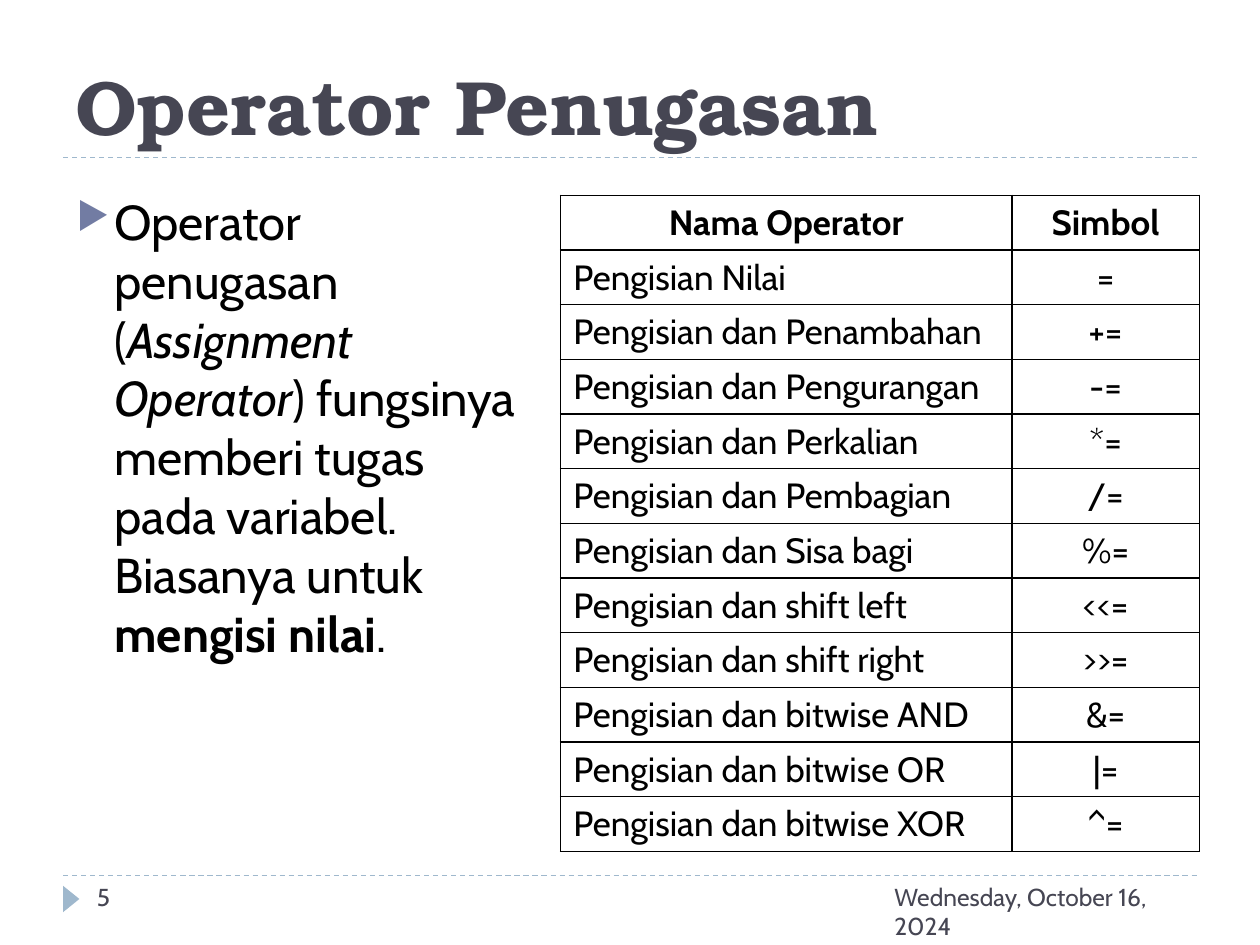
import pptx
import pptx.util
import pptx.dml.color
import pptx.enum.dml
import pptx.enum.shapes
import pptx.enum.text
import pptx.oxml
import pptx.oxml.ns
from dataclasses import dataclass


@dataclass(frozen=True)
class Theme:
    heading_font: str = "TeX Gyre Bonum"
    body_font: str = "Cabin"
    title_size: int = 44
    body_size: int = 28
    table_size: int = 20
    footer_size: int = 14
    dark: str = "464653"
    black: str = "000000"
    accent: str = "9FB8CD"
    bullet: str = "727CA3"


T = Theme()
RGB = pptx.dml.color.RGBColor.from_string
ALIGN = pptx.enum.text.PP_ALIGN
ANCHOR = pptx.enum.text.MSO_ANCHOR
NS = pptx.oxml.ns.nsdecls("a")

prs = pptx.Presentation()
prs.slide_width = pptx.util.Inches(10)
prs.slide_height = pptx.util.Inches(7.5)
COL = prs.slide_width / 20
ROW = prs.slide_height / 15
s = prs.slides.add_slide(prs.slide_layouts[6])


def grid(*lengths):
    """Turn alternating column and row counts into slide lengths."""
    return [round(n * unit) for n, unit in zip(lengths, (COL, ROW) * 2)]


def format_runs(tf, size, color, font=T.body_font, bold=None):
    for p in tf.paragraphs:
        for r in p.runs:
            r.font.name = font
            r.font.size = pptx.util.Pt(size)
            r.font.color.rgb = RGB(color)
            if bold is not None:
                r.font.bold = bold


# Dashed rules under the title and above the footer
for y in (2.5, 13.9):
    line = s.shapes.add_connector(
        pptx.enum.shapes.MSO_CONNECTOR.STRAIGHT, *grid(1, y, 19, y))
    line.line.color.rgb = RGB(T.accent)
    line.line.width = pptx.util.Pt(0.75)
    line.line.dash_style = pptx.enum.dml.MSO_LINE.DASH
    line._element.spPr.append(pptx.oxml.parse_xml(f"<a:effectLst {NS}/>"))

# Footer marker
sp = s.shapes.add_shape(
    pptx.enum.shapes.MSO_SHAPE.ISOSCELES_TRIANGLE, *grid(0.92, 14.14, 0.42, 0.26))
sp.rotation = 90
sp.shadow.inherit = False
sp.fill.solid()
sp.fill.fore_color.rgb = RGB(T.accent)
sp.line.fill.background()

# Title, date and slide number
labels = [
    ("Operator Penugasan", (1, 0.34, 18, 2.16), T.title_size, T.heading_font, True, ANCHOR.BOTTOM),
    ("Wednesday, October 16, 2024", (14, 13.9, 5, 0.8), T.footer_size, T.body_font, False, ANCHOR.TOP),
    ("5", (1.34, 13.9, 4.34, 0.8), T.footer_size, T.body_font, False, ANCHOR.TOP),
]
for text, box, size, font, bold, anchor in labels:
    tf = s.shapes.add_textbox(*grid(*box)).text_frame
    tf.word_wrap = True
    tf.vertical_anchor = anchor
    tf.text = text
    format_runs(tf, size, T.dark, font, bold)

# Bulleted explanation
tf = s.shapes.add_textbox(*grid(1.02, 2.94, 7.56, 9.24)).text_frame
tf.word_wrap = True
p = tf.paragraphs[0]
p.space_before = pptx.util.Pt(6)
for text, italic, bold in [
    ("Operator penugasan (", False, False),
    ("Assignment Operator", True, False),
    (") fungsinya memberi tugas pada variabel. Biasanya untuk ", False, False),
    ("mengisi nilai", False, True),
    (".", False, False),
]:
    r = p.add_run()
    r.text = text
    r.font.italic = italic
    r.font.bold = bold
format_runs(tf, T.body_size, T.black)
pPr = p._p.get_or_add_pPr()
indent = pptx.util.Inches(0.3)
pPr.set("marL", str(indent))
pPr.set("indent", str(-indent))
for xml in (
    f'<a:buClr {NS}><a:srgbClr val="{T.bullet}"/></a:buClr>',
    f'<a:buSzPct {NS} val="76000"/>',
    f'<a:buChar {NS} char="▶"/>',
):
    pPr.append(pptx.oxml.parse_xml(xml))

# Operator table
rows = [
    ("Nama Operator", "Simbol"),
    ("Pengisian Nilai", "="),
    ("Pengisian dan Penambahan", "+="),
    ("Pengisian dan Pengurangan", "-="),
    ("Pengisian dan Perkalian", "*="),
    ("Pengisian dan Pembagian", "/="),
    ("Pengisian dan Sisa bagi", "%="),
    ("Pengisian dan shift left", "<<="),
    ("Pengisian dan shift right", ">>="),
    ("Pengisian dan bitwise AND", "&="),
    ("Pengisian dan bitwise OR", "|="),
    ("Pengisian dan bitwise XOR", "^="),
]
table = s.shapes.add_table(len(rows), 2, *grid(8.9, 3.1, 10.14, 10.4)).table
table.first_row = False
table.horz_banding = False
for column, width in zip(table.columns, (7.16, 2.98)):
    column.width = round(width * COL)
for i, row in enumerate(rows):
    for j, text in enumerate(row):
        cell = table.cell(i, j)
        header = i == 0
        cell.text = text
        cell.vertical_anchor = ANCHOR.TOP if header else ANCHOR.MIDDLE
        centred = header or j == 1
        cell.text_frame.paragraphs[0].alignment = ALIGN.CENTER if centred else ALIGN.LEFT
        format_runs(cell.text_frame, T.table_size, T.black, bold=header)
        tcPr = cell._tc.get_or_add_tcPr()
        for side in ("lnL", "lnR", "lnT", "lnB"):
            tcPr.append(pptx.oxml.parse_xml(
                f'<a:{side} {NS} w="{pptx.util.Pt(1)}"><a:solidFill>'
                f'<a:srgbClr val="{T.black}"/></a:solidFill></a:{side}>'))
        cell.fill.background()

prs.save("out.pptx")
